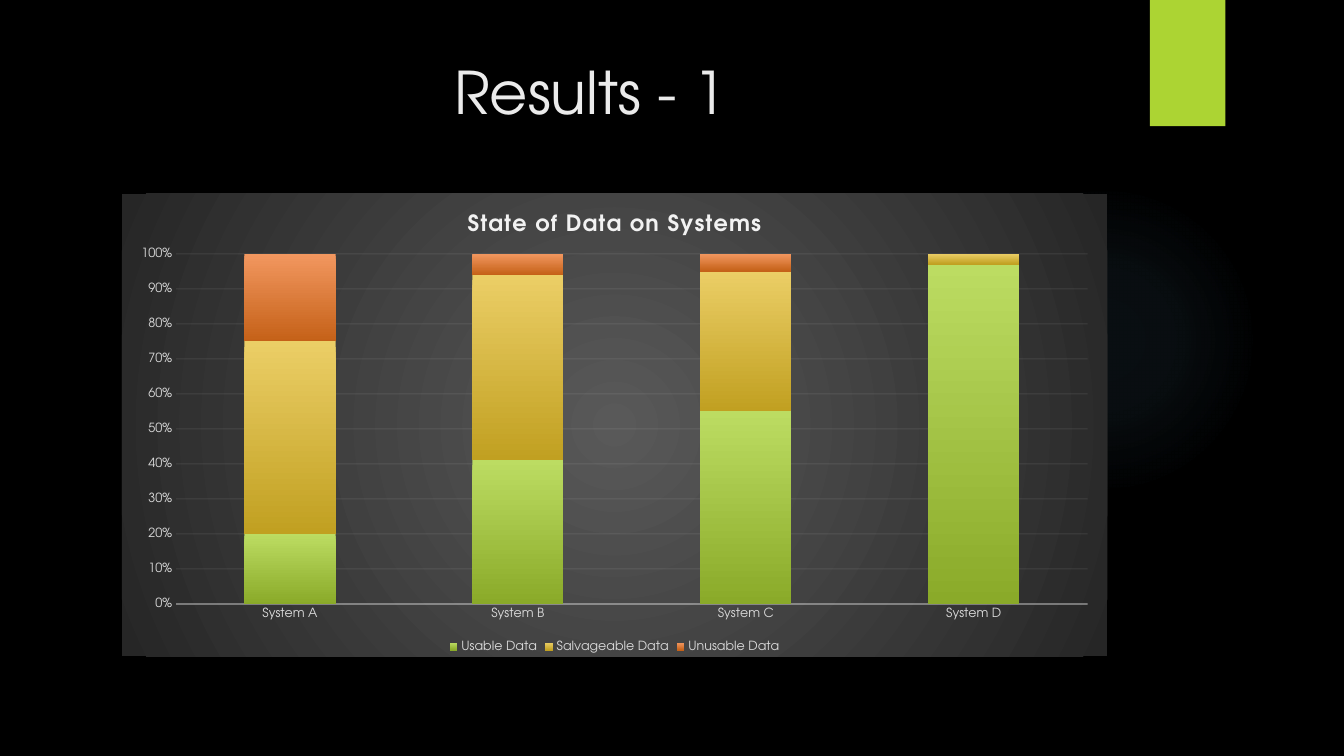
from lxml import etree
from pptx import Presentation
from pptx.chart.data import CategoryChartData
from pptx.dml.color import RGBColor
from pptx.enum import chart as charts, shapes, text
from pptx.oxml import parse_xml
from pptx.oxml.ns import nsdecls, qn
from pptx.util import Cm, Pt

# Content
TITLE = "Results - 1"
CHART_TITLE = "State of Data on Systems"
SYSTEMS = ["System A", "System B", "System C", "System D"]
SERIES = [
    ("Usable Data", (20, 41, 55, 97), ("BCDC62", "8AAA29")),
    ("Salvageable Data", (55, 53, 40, 3), ("EBCE66", "C1A021")),
    ("Unusable Data", (25, 6, 5, 0), ("F2975F", "C56118")),
]
FONT = "TeX Gyre Adventor"
COLORS = {
    "background": "000000", "title": "EBEBEB", "tab": "ACD433", "glow": "7AC4F0",
    "center": "595959", "edge": "262626", "line": "F2F2F2", "label": "D9D9D9",
    "white": "FFFFFF",
}
# Left, top, width, height in centimetres
BOXES = {
    "glow": (23.9, 4.65, 7.82, 7.82),
    "tab": (28.98, 0, 1.9, 3.18),
    "title": (1.8, 1.27, 26.14, 3.89),
    "chart": (3.07, 4.88, 24.84, 11.66),
}
PLOT_LAYOUT = {"x": 0.055, "y": 0.13, "w": 0.925, "h": 0.757}


def box(name):
    return [Cm(length) for length in BOXES[name]]


def color(name):
    return RGBColor.from_string(COLORS[name])


def format_font(font, **values):
    values = {"name": FONT, **values}
    font.color.rgb = color(values.pop("color"))
    for attribute, value in values.items():
        setattr(font, attribute, value)


def gradient(stops, radial=False):
    """Build a gradient from (position, hex, opacity) stops in percent."""
    stop_xml = "".join(
        f'<a:gs pos="{position * 1000}"><a:srgbClr val="{shade}">'
        f'<a:alpha val="{opacity * 1000}"/></a:srgbClr></a:gs>'
        for position, shade, opacity in stops)
    direction = ('<a:path path="circle"><a:fillToRect l="50000" t="50000" '
                 'r="50000" b="50000"/></a:path>'
                 if radial else '<a:lin ang="5400000" scaled="0"/>')
    return parse_xml(f'<a:gradFill {nsdecls("a")} rotWithShape="1"><a:gsLst>{stop_xml}'
                     f'</a:gsLst>{direction}</a:gradFill>')


def fill_gradient(fill, properties, new_fill):
    fill.solid()
    properties.replace(properties.find(qn("a:solidFill")), new_fill)


def format_line(line, width, opacity):
    line.width = Pt(width)
    line.color.rgb = color("line")
    shade = line._ln.find(".//" + qn("a:srgbClr"))
    etree.SubElement(shade, qn("a:alpha")).set("val", str(opacity * 1000))


def add_decoration(slide, kind, name):
    shape = slide.shapes.add_shape(kind, *box(name))
    shape.shadow.inherit = False
    shape.line.fill.background()
    shape.fill.solid()
    shape.fill.fore_color.rgb = color(name)
    return shape


def add_title(slide):
    title = slide.shapes.title
    title.left, title.top, title.width, title.height = box("title")
    title.text_frame.text = TITLE
    title.text_frame.vertical_anchor = text.MSO_ANCHOR.TOP
    paragraph = title.text_frame.paragraphs[0]
    paragraph.alignment = text.PP_ALIGN.CENTER
    format_font(paragraph.runs[0].font, size=Pt(42), color="title")


def add_chart(slide):
    data = CategoryChartData()
    data.categories = SYSTEMS
    for name, values, _ in SERIES:
        data.add_series(name, values)
    chart = slide.shapes.add_chart(
        charts.XL_CHART_TYPE.COLUMN_STACKED_100, *box("chart"), data).chart
    format_font(chart.font, size=Pt(10), color="white")

    # Chart title
    frame = chart.chart_title.text_frame
    frame.text = CHART_TITLE
    title_font = frame.paragraphs[0].runs[0].font
    format_font(title_font, size=Pt(16), bold=True, color="line")
    title_font._element.set("spc", "100")
    chart.chart_title.include_in_layout = False

    # Chart area and plot area
    area = parse_xml(f'<c:spPr {nsdecls("c", "a")}><a:ln><a:noFill/></a:ln></c:spPr>')
    area.insert(0, gradient([(0, COLORS["center"], 100), (100, COLORS["edge"], 100)],
                            radial=True))
    chart_element = chart._chartSpace.find(qn("c:chart"))
    chart_element.addnext(area)
    plot_area = chart_element.find(qn("c:plotArea"))
    for layout in plot_area.findall(qn("c:layout")):
        plot_area.remove(layout)
    places = "".join(f'<c:{key} val="{value}"/>' for key, value in PLOT_LAYOUT.items())
    plot_area.insert(0, parse_xml(
        f'<c:layout {nsdecls("c")}><c:manualLayout><c:layoutTarget val="inner"/>'
        f'<c:xMode val="edge"/><c:yMode val="edge"/>{places}'
        f'</c:manualLayout></c:layout>'))

    # Columns
    plot = chart.plots[0]
    plot.gap_width, plot.overlap, plot.vary_by_categories = 150, 100, False
    for series, (_, _, (top, bottom)) in zip(plot.series, SERIES):
        fill_gradient(series.format.fill, series._element.spPr,
                      gradient([(0, top, 100), (100, bottom, 100)]))

    # Axes
    for axis in (chart.category_axis, chart.value_axis):
        axis.major_tick_mark = axis.minor_tick_mark = charts.XL_TICK_MARK.NONE
        format_font(axis.tick_labels.font, size=Pt(9), color="label")
    format_line(chart.category_axis.format.line, 1, 54)
    value_axis = chart.value_axis
    value_axis.format.line.fill.background()
    value_axis.minimum_scale, value_axis.maximum_scale = 0, 1
    value_axis.major_unit = 0.1
    value_axis.tick_labels.number_format = "0%"
    value_axis.tick_labels.number_format_is_linked = False
    format_line(value_axis.major_gridlines.format.line, 0.75, 10)

    # Legend
    chart.has_legend = True
    chart.legend.position = charts.XL_LEGEND_POSITION.BOTTOM
    chart.legend.include_in_layout = False
    format_font(chart.legend.font, size=Pt(9), color="label")


def main():
    presentation = Presentation()
    presentation.slide_width, presentation.slide_height = Cm(33.87), Cm(19.05)
    slide = presentation.slides.add_slide(presentation.slide_layouts[5])
    slide.background.fill.solid()
    slide.background.fill.fore_color.rgb = color("background")

    # Background glow and corner tab
    glow = add_decoration(slide, shapes.MSO_SHAPE.OVAL, "glow")
    fill_gradient(glow.fill, glow._element.spPr, gradient(
        [(position, COLORS["glow"], opacity)
         for position, opacity in ((0, 7), (36, 6), (69, 0))], radial=True))
    add_decoration(slide, shapes.MSO_SHAPE.RECTANGLE, "tab")

    add_title(slide)
    add_chart(slide)
    presentation.save("out.pptx")


if __name__ == "__main__":
    main()
